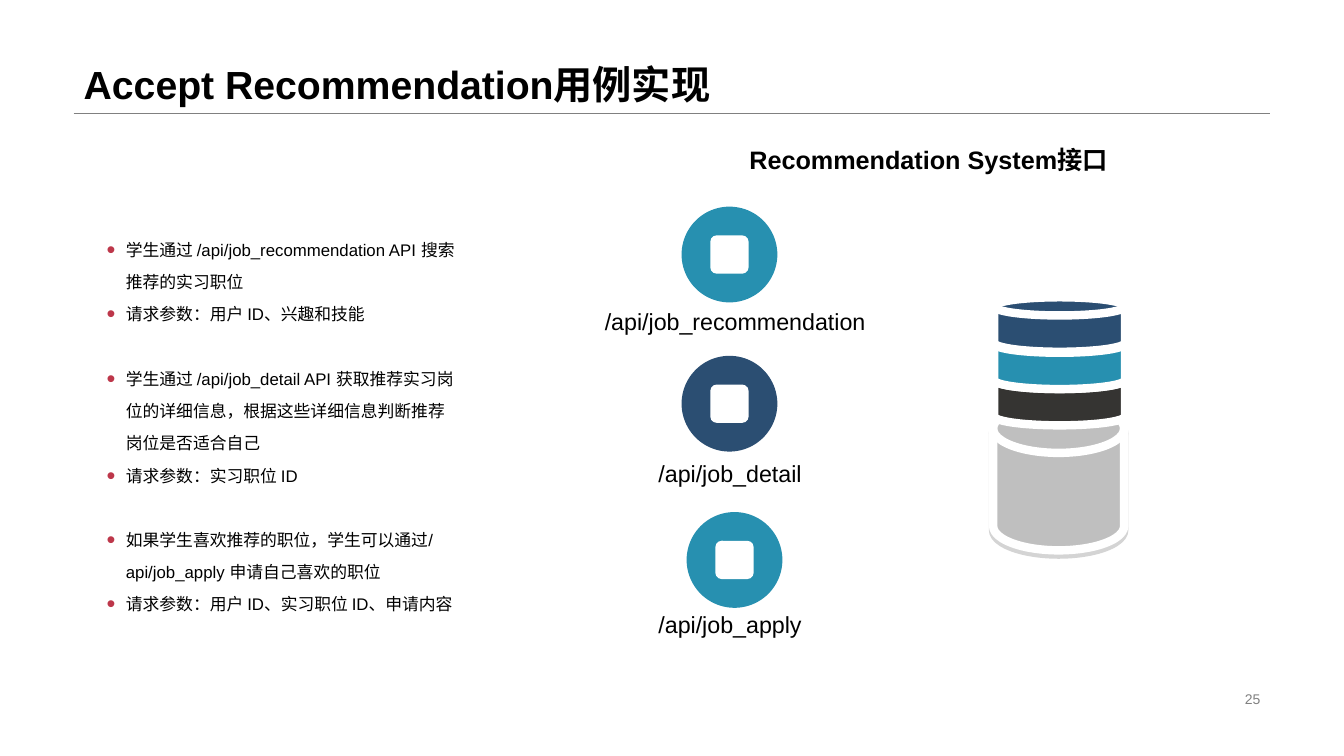
"""Build the slide on the Recommendation System interface."""
from lxml import etree
from pptx import Presentation
from pptx import util as u
from pptx.dml.color import RGBColor
from pptx.enum import shapes, text
from pptx.oxml import ns

BLACK = RGBColor(0x00, 0x00, 0x00)
WHITE = RGBColor(0xFF, 0xFF, 0xFF)
GREY = RGBColor(0x80, 0x80, 0x80)
SILVER = RGBColor(0xBF, 0xBF, 0xBF)
CHARCOAL = RGBColor(0x35, 0x34, 0x32)
TEAL = RGBColor(0x27, 0x90, 0xB0)
NAVY = RGBColor(0x2B, 0x4E, 0x72)
RED = RGBColor(0xBD, 0x37, 0x4A)

ENDPOINTS = [
    ("/api/job_recommendation", TEAL, (6.76, 2.05), (5.79, 3.03, 3, 0.34)),
    ("/api/job_detail", NAVY, (6.76, 3.53), (6.24, 4.54, 2, 0.34)),
    ("/api/job_apply", TEAL, (6.81, 5.08), (6.24, 6.04, 2, 0.34)),
]
STEPS = [
    ("学生通过 /api/job_recommendation API 搜索推荐的实习职位",
     "请求参数：用户 ID、兴趣和技能"),
    ("学生通过 /api/job_detail API 获取推荐实习岗位的详细信息，根据这些详细信息判断推荐岗位是否适合自己",
     "请求参数：实习职位 ID"),
    ("如果学生喜欢推荐的职位，学生可以通过/api/job_apply 申请自己喜欢的职位",
     "请求参数：用户 ID、实习职位 ID、申请内容"),
]
DATABASE_LAYERS = [
    (SILVER, (9.85, 4.01, 1.3, 1.45)),
    (CHARCOAL, (9.86, 3.68, 1.3, 0.54)),
    (TEAL, (9.86, 3.32, 1.3, 0.54)),
    (NAVY, (9.86, 2.95, 1.3, 0.54)),
]
CIRCLE, ICON = 0.95, 0.38


def inches(box):
    """Turn plain numbers into lengths."""
    return [u.Inches(value) for value in box]


def apply(target, values):
    """Set each named attribute on the target."""
    for name, value in values.items():
        setattr(target, name, value)


def add_xml(parent, tag, **attributes):
    """Append a DrawingML element and return it."""
    return etree.SubElement(parent, ns.qn(tag), attributes)


def style_run(paragraph, wording, size, color=BLACK, bold=False):
    """Write one formatted run into a paragraph."""
    run = paragraph.add_run()
    run.text = wording
    apply(run.font, {"name": "Arial", "size": u.Pt(size), "bold": bold})
    run.font.color.rgb = color


def add_label(slide, box, wording, size, align, frame_format, **run_format):
    """Add a one-paragraph text box."""
    frame = slide.shapes.add_textbox(*inches(box)).text_frame
    apply(frame, frame_format)
    frame.paragraphs[0].alignment = align
    style_run(frame.paragraphs[0], wording, size, **run_format)


def add_solid(slide, kind, box, color, outline=None):
    """Add a filled preset shape, optionally with a white outline."""
    solid = slide.shapes.add_shape(kind, *inches(box))
    solid.shadow.inherit = False
    solid.fill.solid()
    solid.fill.fore_color.rgb = color
    if outline:
        solid.line.color.rgb = WHITE
        solid.line.width = u.Pt(outline)
    else:
        solid.line.fill.background()
    return solid


def add_title(slide):
    """Place the title and the rule below it."""
    title = slide.shapes.title
    apply(title, dict(zip(("left", "top", "width", "height"),
                          inches((0.73, 0, 11.87, 1.12)))))
    title.text_frame.vertical_anchor = text.MSO_ANCHOR.BOTTOM
    heading = title.text_frame.paragraphs[0]
    apply(heading, {"alignment": text.PP_ALIGN.LEFT, "line_spacing": 0.9})
    style_run(heading, "Accept Recommendation用例实现", 28, bold=True)
    rule = slide.shapes.add_connector(shapes.MSO_CONNECTOR.STRAIGHT,
                                      *inches((0.73, 1.12, 12.6, 1.12)))
    rule.line.color.rgb = GREY
    rule.line.width = u.Pt(0.25)
    add_xml(rule._element.spPr, "a:effectLst")


def add_steps(slide):
    """Add the bulleted steps, spacing the groups apart."""
    frame = slide.shapes.add_textbox(*inches((0.96, 2.21, 3.69, 4.26))).text_frame
    frame.word_wrap = True
    for group, step in enumerate(STEPS):
        for position, wording in enumerate(step):
            first = group == position == 0
            bullet = frame.paragraphs[0] if first else frame.add_paragraph()
            bullet.line_spacing = 1.6
            if group and position == 0:
                bullet.space_before = u.Pt(23)
            properties = bullet._p.get_or_add_pPr()
            properties.set("marL", str(u.Inches(0.19)))
            properties.set("indent", str(u.Inches(-0.19)))
            add_xml(add_xml(properties, "a:buClr"), "a:srgbClr", val=str(RED))
            add_xml(properties, "a:buSzPct", val="150000")
            add_xml(properties, "a:buFont", typeface="Arial")
            add_xml(properties, "a:buChar", char="•")
            style_run(bullet, wording, 12)


def add_endpoint(slide, wording, color, corner, label_box):
    """Add a round badge with a plain icon and its address."""
    inset = (CIRCLE - ICON) / 2
    left, top = corner
    add_solid(slide, shapes.MSO_SHAPE.OVAL, (left, top, CIRCLE, CIRCLE), color)
    add_solid(slide, shapes.MSO_SHAPE.ROUNDED_RECTANGLE,
              (left + inset, top + inset, ICON, ICON), WHITE)
    add_label(slide, label_box, wording, 16.6, text.PP_ALIGN.CENTER,
              {"word_wrap": False, "vertical_anchor": text.MSO_ANCHOR.BOTTOM})


def add_database(slide):
    """Stack the database layers, with a shadow under the base."""
    base, *_ = [add_solid(slide, shapes.MSO_SHAPE.FLOWCHART_MAGNETIC_DISK, box, color, 6)
                for color, box in DATABASE_LAYERS]
    effects = base._element.spPr.find(ns.qn("a:effectLst"))
    shadow = add_xml(effects, "a:outerShdw", blurRad="0", dist=str(u.Pt(3)),
                     dir="5400000", algn="t", rotWithShape="0")
    shade = add_xml(shadow, "a:srgbClr", val=str(BLACK))
    add_xml(shade, "a:alpha", val="16000")


def main():
    """Build and save the slide."""
    deck = Presentation()
    apply(deck, {"slide_width": u.Inches(13.33), "slide_height": u.Inches(7.5)})
    slide = deck.slides.add_slide(deck.slide_layouts[5])
    add_title(slide)
    add_label(slide, (9.42, 6.82, 3.18, 0.23), "25", 10, text.PP_ALIGN.RIGHT,
              {"word_wrap": True, "vertical_anchor": text.MSO_ANCHOR.MIDDLE}, color=GREY)
    add_database(slide)
    for endpoint in ENDPOINTS:
        add_endpoint(slide, *endpoint)
    add_label(slide, (6.45, 1.38, 5.52, 0.4), "Recommendation System接口", 18,
              text.PP_ALIGN.CENTER, {"word_wrap": True}, bold=True)
    add_steps(slide)
    deck.save("out.pptx")


if __name__ == "__main__":
    main()
